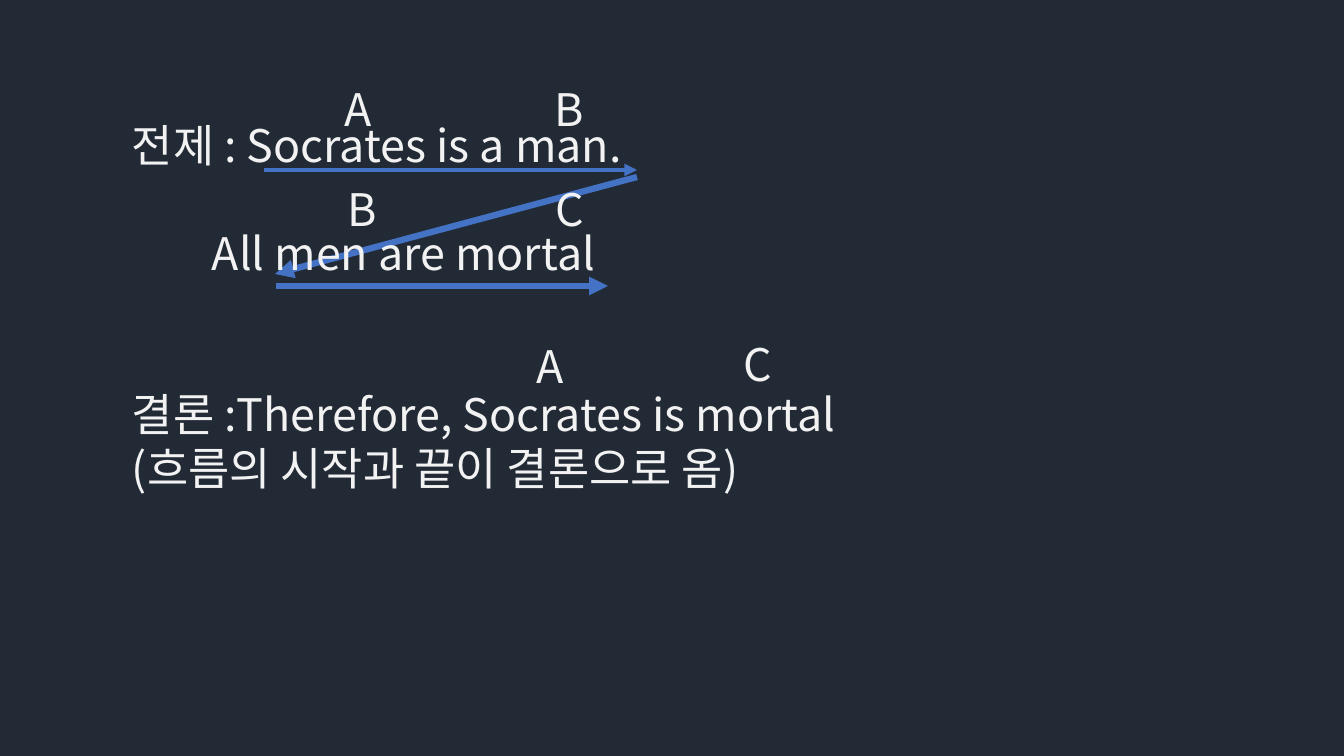
from dataclasses import dataclass

from lxml.etree import SubElement
from pptx import Presentation
from pptx.dml.color import RGBColor
from pptx.enum.shapes import MSO_CONNECTOR as Connector
from pptx.oxml.ns import qn
from pptx.util import Emu, Pt

PX = 914400 / 100.8


@dataclass(frozen=True)
class Theme:
    """Colours, font and sizes of the slide."""
    background: str = "222A35"
    text: str = "F2F2F2"
    flow: str = "4472C4"
    font: str = "Noto Sans CJK KR"
    size: float = 32
    line_height: float = 38.4


def px(length):
    """Turn pixels into EMU."""
    return Emu(round(length * PX))


class Board:
    """A slide together with its style."""

    def __init__(self, slide, theme):
        """Keep the slide and theme, and paint the background."""
        self.slide, self.theme = slide, theme
        fill = slide.background.fill
        fill.solid()
        fill.fore_color.rgb = RGBColor.from_string(theme.background)

    def text(self, left, top, width, height, lines):
        """Add lines given as (wording, blank lines above, indent)."""
        box = self.slide.shapes.add_textbox(*map(px, (left, top, width, height)))
        frame = box.text_frame
        frame.word_wrap = True
        frame.text = "\n".join(wording for wording, _, _ in lines)
        for paragraph, (_, gap, indent) in zip(frame.paragraphs, lines):
            paragraph.line_spacing = Pt(self.theme.line_height)
            paragraph.space_before = Pt(gap * self.theme.line_height)
            if indent:
                properties = paragraph._p.get_or_add_pPr()
                properties.set("marL", str(px(indent)))
                properties.set("indent", "0")
            for run in paragraph.runs:
                self.style(run.font)

    def style(self, font):
        """Give a run the theme's font, size and colour."""
        font.name = self.theme.font
        font.size = Pt(self.theme.size)
        font.color.rgb = RGBColor.from_string(self.theme.text)
        SubElement(font._element, qn("a:ea"), typeface=self.theme.font)

    def term(self, letter, left, top):
        """Add the letter that marks a term of the syllogism."""
        self.text(left, top, 62, 64, [(letter, 0, 0)])

    def arrow(self, start, end, weight):
        """Add an arrow from start to end."""
        link = self.slide.shapes.add_connector(
            Connector.STRAIGHT, *map(px, (*start, *end)))
        link.line.color.rgb = RGBColor.from_string(self.theme.flow)
        link.line.width = Pt(weight)
        SubElement(link.line._get_or_add_ln(), qn("a:tailEnd"), type="triangle")
        SubElement(link._element.spPr, qn("a:effectLst"))


def main():
    """Build the syllogism slide."""
    deck = Presentation()
    deck.slide_width, deck.slide_height = px(1344), px(756)
    board = Board(deck.slides.add_slide(deck.slide_layouts[6]), Theme())

    board.arrow((637, 177), (275, 274), 4.5)
    board.text(122, 113, 1003, 499, [
        ("전제 : Socrates is a man.", 0, 0),
        ("All men are mortal", 1, 80),
        ("결론 :Therefore, Socrates is mortal", 2, 0),
        ("(흐름의 시작과 끝이 결론으로 옴)", 0, 0),
    ])
    for letter, left, top in [("A", 335, 77), ("B", 545, 77),
                              ("B", 338, 177), ("C", 546, 177)]:
        board.term(letter, left, top)
    board.arrow((264, 170), (637, 170), 3)
    board.arrow((276, 286), (608, 286), 4.5)
    for letter, left, top in [("A", 527, 334), ("C", 734, 332)]:
        board.term(letter, left, top)

    deck.save("out.pptx")


main()
